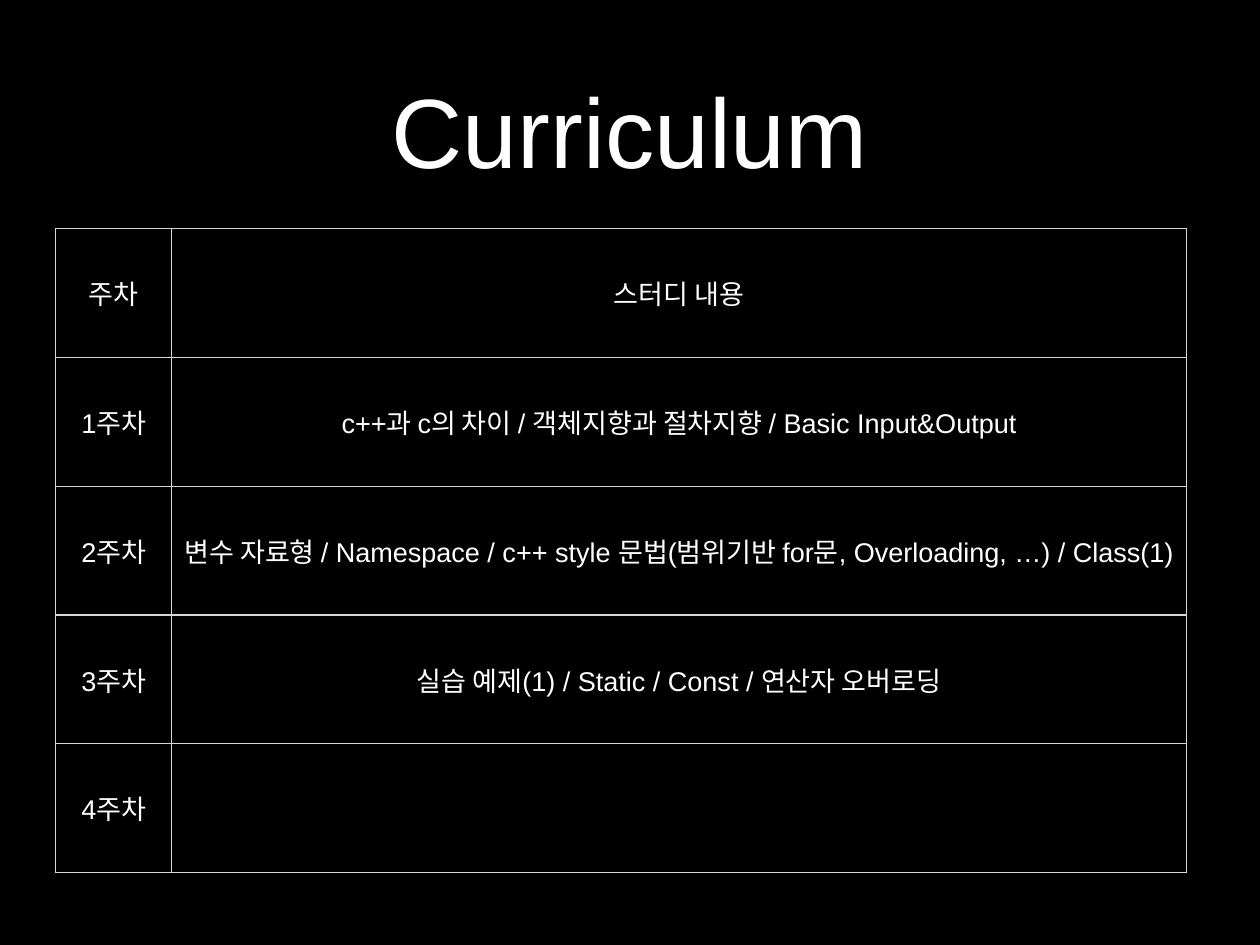
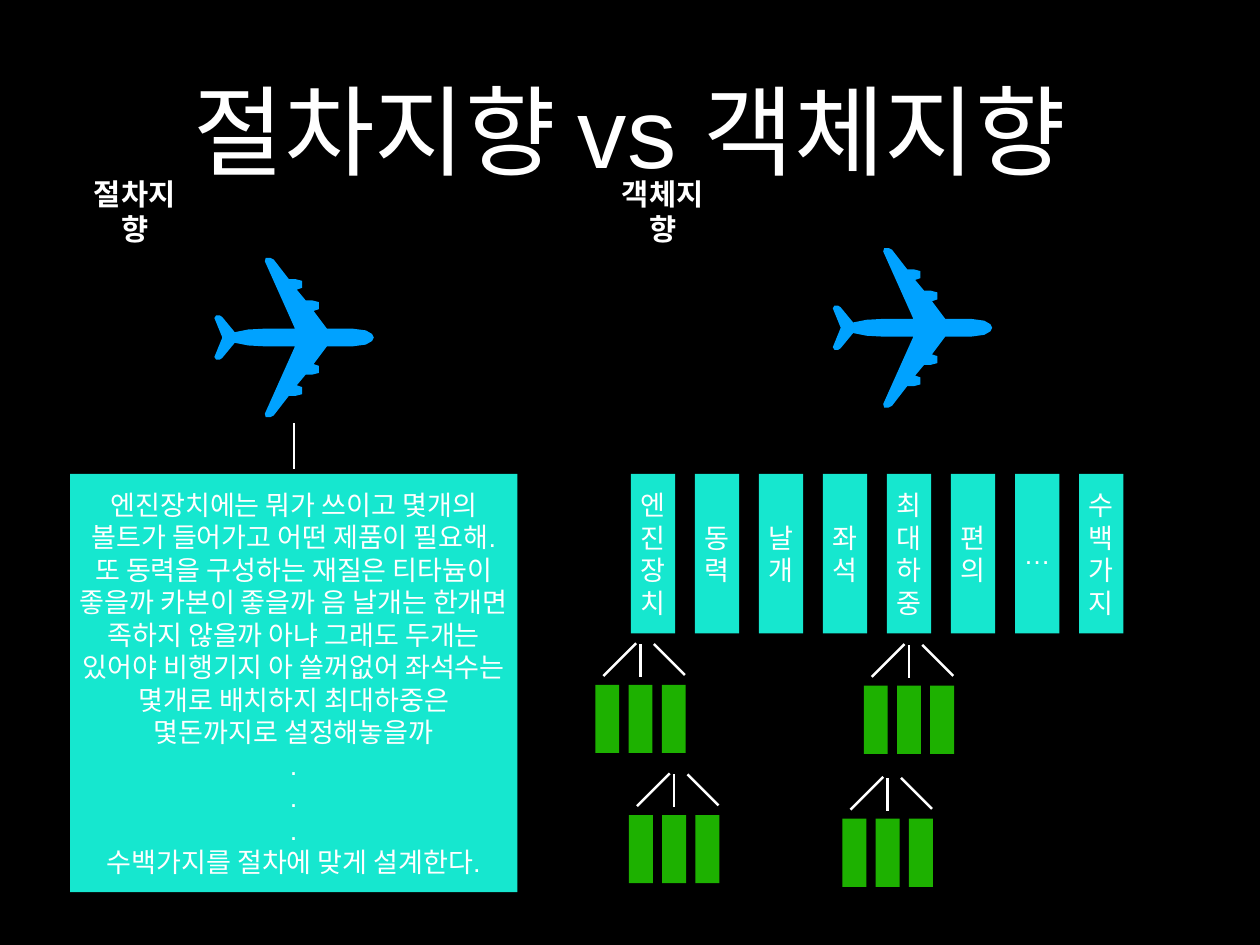
from lxml import etree
from pptx import Presentation
from pptx.dml.color import RGBColor
from pptx.enum.shapes import MSO_CONNECTOR, MSO_SHAPE
from pptx.enum.text import MSO_ANCHOR, PP_ALIGN
from pptx.oxml.ns import qn
from pptx.util import Inches, Pt

RECTANGLE = MSO_SHAPE.RECTANGLE
STRAIGHT = MSO_CONNECTOR.STRAIGHT
MIDDLE = MSO_ANCHOR.MIDDLE
CENTER = PP_ALIGN.CENTER

BLACK, WHITE, GRID = "000000", "FFFFFF", "D6D7D6"
BLUE, TEAL, GREEN = "00A2FF", "16E7CF", "1DB100"
FONT = "Arial"
INSET = Inches(0.06)


def paint(color_format, hex_color):
    color_format.rgb = RGBColor.from_string(hex_color)


def write(frame, lines, size, bold=False):
    """Fill a text frame with centred white paragraphs."""
    frame.word_wrap = True
    frame.vertical_anchor = MIDDLE
    frame.margin_left = frame.margin_right = INSET
    frame.margin_top = frame.margin_bottom = INSET
    frame.text = "\n".join(lines)
    for paragraph in frame.paragraphs:
        paragraph.alignment = CENTER
        paragraph.font.name = FONT
        paragraph.font.size = Pt(size)
        paragraph.font.bold = bold
        paint(paragraph.font.color, WHITE)


prs = Presentation()
prs.slide_width, prs.slide_height = Pt(1024), Pt(768)

# Shared background and titles
backdrop = prs.slide_master.background.fill
backdrop.solid()
paint(backdrop.fore_color, BLACK)

slides = []
for heading in ("Curriculum", "절차지향 vs 객체지향"):
    slide = prs.slides.add_slide(prs.slide_layouts[6])
    title = slide.shapes.add_textbox(Inches(1.04), Inches(0.28), Inches(12.14), Inches(2.36))
    write(title.text_frame, [heading], 80)
    slides.append(slide)
curriculum, comparison = slides

# Weekly plan
weeks = [
    ("주차", "스터디 내용"),
    ("1주차", "c++과 c의 차이 / 객체지향과 절차지향 / Basic Input&Output"),
    ("2주차", "변수 자료형 / Namespace / c++ style 문법(범위기반 for문, Overloading, …) / Class(1)"),
    ("3주차", "실습 예제(1) / Static / Const / 연산자 오버로딩"),
    ("4주차", ""),
]
plan = curriculum.shapes.add_table(
    len(weeks), 2, Inches(0.63), Inches(2.58), Inches(12.76), Inches(7.27)).table
plan.first_row = plan.horz_banding = False
for column, width in zip(plan.columns, (1.31, 11.45)):
    column.width = Inches(width)
for r, week in enumerate(weeks):
    for c, content in enumerate(week):
        cell = plan.cell(r, c)
        if content:
            write(cell.text_frame, [content], 22)
        cell.vertical_anchor = MIDDLE
        cell.margin_left = cell.margin_right = INSET
        cell.margin_top = cell.margin_bottom = INSET
        properties = cell._tc.get_or_add_tcPr()
        for side in ("a:lnL", "a:lnR", "a:lnT", "a:lnB"):
            border = etree.SubElement(properties, qn(side), w=str(Pt(1)))
            ink = etree.SubElement(border, qn("a:solidFill"))
            etree.SubElement(ink, qn("a:srgbClr"), val=GRID)
        cell.fill.background()

shapes = comparison.shapes

# Labels of the two approaches, kept to the left part of their boxes
for left, approach in ((1.01, "절차지향"), (6.97, "객체지향")):
    label = shapes.add_textbox(Inches(left), Inches(2.13), Inches(1.28), Inches(0.51))
    write(label.text_frame, [approach], 24, bold=True)
    label.text_frame.margin_left = 0
    label.text_frame.margin_right = Inches(0.26)

# Upper half of the airplane, nose to tail, mirrored for the lower half
AXIS = 0.9
upper = [
    (1.8, 0.9), (1.78, 0.86), (1.71, 0.82), (1.56, 0.8), (1.27, 0.8), (1.12, 0.6),
    (1.18, 0.58), (1.18, 0.5), (1.1, 0.48), (1.03, 0.48), (0.93, 0.36),
    (0.99, 0.34), (0.99, 0.26), (0.91, 0.24), (0.84, 0.24), (0.67, 0.02),
    (0.63, 0), (0.58, 0), (0.57, 0.04), (0.91, 0.8), (0.57, 0.8),
    (0.38, 0.81), (0.23, 0.84), (0.09, 0.67), (0.06, 0.65), (0.02, 0.65),
    (0, 0.68), (0.09, 0.9),
]
lower = [(x, 2 * AXIS - y) for x, y in upper[-2:0:-1]]

for left, top in ((2.42, 2.91), (9.4, 2.8)):
    points = [(Inches(left + x), Inches(top + y)) for x, y in upper + lower]
    builder = shapes.build_freeform(*points[0], scale=1.0)
    builder.add_line_segments(points[1:], close=True)
    airplane = builder.convert_to_shape()
    airplane.shadow.inherit = False
    airplane.fill.solid()
    paint(airplane.fill.fore_color, BLUE)
    airplane.line.fill.background()

# Boxes: left, top, width, height, colour, lines of text
procedure = [
    "엔진장치에는 뭐가 쓰이고 몇개의 볼트가 들어가고 어떤 제품이 필요해. "
    "또 동력을 구성하는 재질은 티타늄이 좋을까 카본이 좋을까 음 날개는 한개면 "
    "족하지 않을까 아냐 그래도 두개는 있어야 비행기지 아 쓸꺼없어 좌석수는 "
    "몇개로 배치하지 최대하중은 몇돈까지로 설정해놓을까",
    ".", ".", ".",
    "수백가지를 절차에 맞게 설계한다.",
]
boxes = [(0.79, 5.35, 5.05, 4.72, TEAL, procedure)]
objects = ["엔진장치", "동력", "날개", "좌석", "최대하중", "편의", "…", "수백가지"]
OBJECT_PITCH = (12.18 - 7.12) / (len(objects) - 1)
for i, name in enumerate(objects):
    boxes.append((7.12 + i * OBJECT_PITCH, 5.35, 0.5, 1.8, TEAL, [name]))

# Clusters of three parts under a fan of three lines
PART_PITCH = 0.75 / 2
fan = [(0.09, -0.1, 0.46, -0.47), (0.51, -0.09, 0.51, -0.46), (1.01, -0.11, 0.66, -0.46)]
links = [(3.32, 5.29, 3.32, 4.78)]
for left, top in ((6.72, 7.73), (7.1, 9.2), (9.75, 7.74), (9.51, 9.24)):
    for i in range(3):
        boxes.append((left + i * PART_PITCH, top, 0.27, 0.77, GREEN, []))
    for x1, y1, x2, y2 in fan:
        links.append((left + x1, top + y1, left + x2, top + y2))

for left, top, width, height, color, lines in boxes:
    box = shapes.add_shape(RECTANGLE, Inches(left), Inches(top), Inches(width), Inches(height))
    box.shadow.inherit = False
    box.fill.solid()
    paint(box.fill.fore_color, color)
    box.line.fill.background()
    if lines:
        write(box.text_frame, lines, 22)

for ends in links:
    link = shapes.add_connector(STRAIGHT, *(Inches(end) for end in ends))
    link.line.width = Pt(2)
    paint(link.line.color, WHITE)
    etree.SubElement(link._element.spPr, qn("a:effectLst"))

prs.save("out.pptx")
